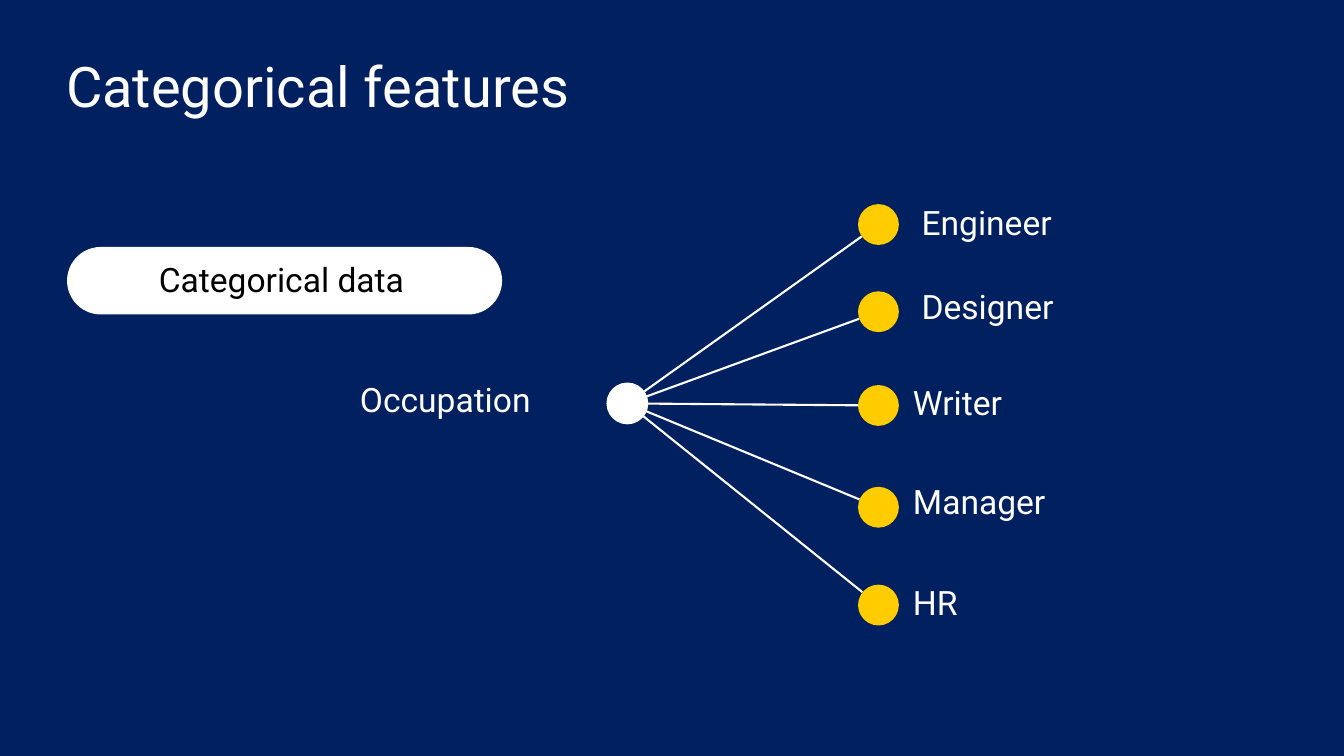
import math

from lxml import etree
from pptx import Presentation
from pptx import util as u
from pptx.dml import color
from pptx.enum import shapes, text
from pptx.oxml import ns

WIDTH, HEIGHT = 26.66, 15
NAVY, WHITE, BLACK, GOLD = "002060", "FFFFFF", "000000", "FFCC00"
FONT = "Roboto"
LABEL_HEIGHT = 0.91

# Name, circle top, label left and label top, measured from the tree's box
OCCUPATIONS = [
    ("Engineer", 0.10, 11.14, 0.00),
    ("Designer", 1.83, 11.14, 1.66),
    ("Writer", 3.69, 10.97, 3.58),
    ("Manager", 5.71, 10.97, 5.53),
    ("HR", 7.65, 10.97, 7.55),
]


def rgb(value):
    """Turn a hex string into a colour."""
    return color.RGBColor.from_string(value)


def inches(*lengths):
    """Turn numbers into lengths."""
    return [u.Inches(length) for length in lengths]


def add_solid(slide, kind, box, fill):
    """Add a preset shape with a plain fill and no outline."""
    shape = slide.shapes.add_shape(kind, *inches(*box))
    shape.shadow.inherit = False
    shape.fill.solid()
    shape.fill.fore_color.rgb = rgb(fill)
    shape.line.fill.background()
    return shape


def add_label(slide, box, words, size=48, fill=WHITE,
              align=text.PP_ALIGN.LEFT, spacing=None):
    """Add one line of text, centred vertically in its box."""
    frame = slide.shapes.add_textbox(*inches(*box)).text_frame
    margin = u.Inches(0.06)
    frame_format = {
        "word_wrap": True,
        "vertical_anchor": text.MSO_ANCHOR.MIDDLE,
        "margin_left": margin, "margin_right": margin,
        "margin_top": margin, "margin_bottom": margin,
    }
    for name, value in frame_format.items():
        setattr(frame, name, value)
    paragraph = frame.paragraphs[0]
    paragraph.alignment = align
    paragraph.line_spacing = spacing
    run = paragraph.add_run()
    run.text = words
    for name, value in {"name": FONT, "size": u.Pt(size)}.items():
        setattr(run.font, name, value)
    run.font.color.rgb = rgb(fill)


def add_branch(group, start, end):
    """Add a white line to the group of branches."""
    line = group.shapes.add_connector(
        shapes.MSO_CONNECTOR.STRAIGHT, *inches(*start, *end))
    line.line.width = u.Pt(3)
    line.line.color.rgb = rgb(WHITE)
    properties = line._element.find(ns.qn("p:spPr"))
    etree.SubElement(properties, ns.qn("a:effectLst"))


def add_heading(slide, box):
    """Place the navy backdrop and the title."""
    left, top, width, height = box
    add_solid(slide, shapes.MSO_SHAPE.RECTANGLE, box, NAVY)
    add_label(slide, (left + 1.25, top + 0.83, width - 2.46, 1.65),
              "Categorical features", size=80, spacing=u.Pt(100))


def add_pill(slide, box):
    """Place the rounded badge with its centred text."""
    left, top, width, height = box
    pill = add_solid(slide, shapes.MSO_SHAPE.ROUNDED_RECTANGLE, box, WHITE)
    pill.adjustments[0] = 0.5
    add_label(slide, (left + 0.17, top + 0.18, width - 0.46, LABEL_HEIGHT),
              "Categorical data", fill=BLACK, align=text.PP_ALIGN.CENTER)


def add_tree(slide, box):
    """Place the hub, its branches and the occupations."""
    left, top, width, height = box
    hub_size, dot_size = 0.83, 0.81
    hub_left, hub_top, dot_left = left + 4.95, top + 3.64, left + 9.94
    hub = (hub_left + hub_size / 2, hub_top + hub_size / 2)
    radius = dot_size / 2

    branches = slide.shapes.add_group_shape()
    for _, dot_top, _, _ in OCCUPATIONS:
        dot = (dot_left + radius, top + dot_top + radius)
        reach = 1 - radius / math.dist(hub, dot)
        edge = [a + (b - a) * reach for a, b in zip(hub, dot)]
        add_branch(branches, hub, edge)

    for name, dot_top, label_left, label_top in OCCUPATIONS:
        add_solid(slide, shapes.MSO_SHAPE.OVAL,
                  (dot_left, top + dot_top, dot_size, dot_size), GOLD)
        add_label(slide, (left + label_left, top + label_top,
                          width - label_left, LABEL_HEIGHT), name)

    add_label(slide, (left, top + 3.52, 4.9, LABEL_HEIGHT), "Occupation")
    add_solid(slide, shapes.MSO_SHAPE.OVAL,
              (hub_left, hub_top, hub_size, hub_size), WHITE)


def main():
    """Build the slide and save it."""
    presentation = Presentation()
    presentation.slide_width, presentation.slide_height = inches(WIDTH, HEIGHT)
    slide = presentation.slides.add_slide(presentation.slide_layouts[6])
    add_heading(slide, (0, 0, WIDTH, HEIGHT))
    add_tree(slide, (7.08, 3.95, 17.77, 8.46))
    add_pill(slide, (1.33, 4.9, 8.63, 1.34))
    presentation.save("out.pptx")


main()
